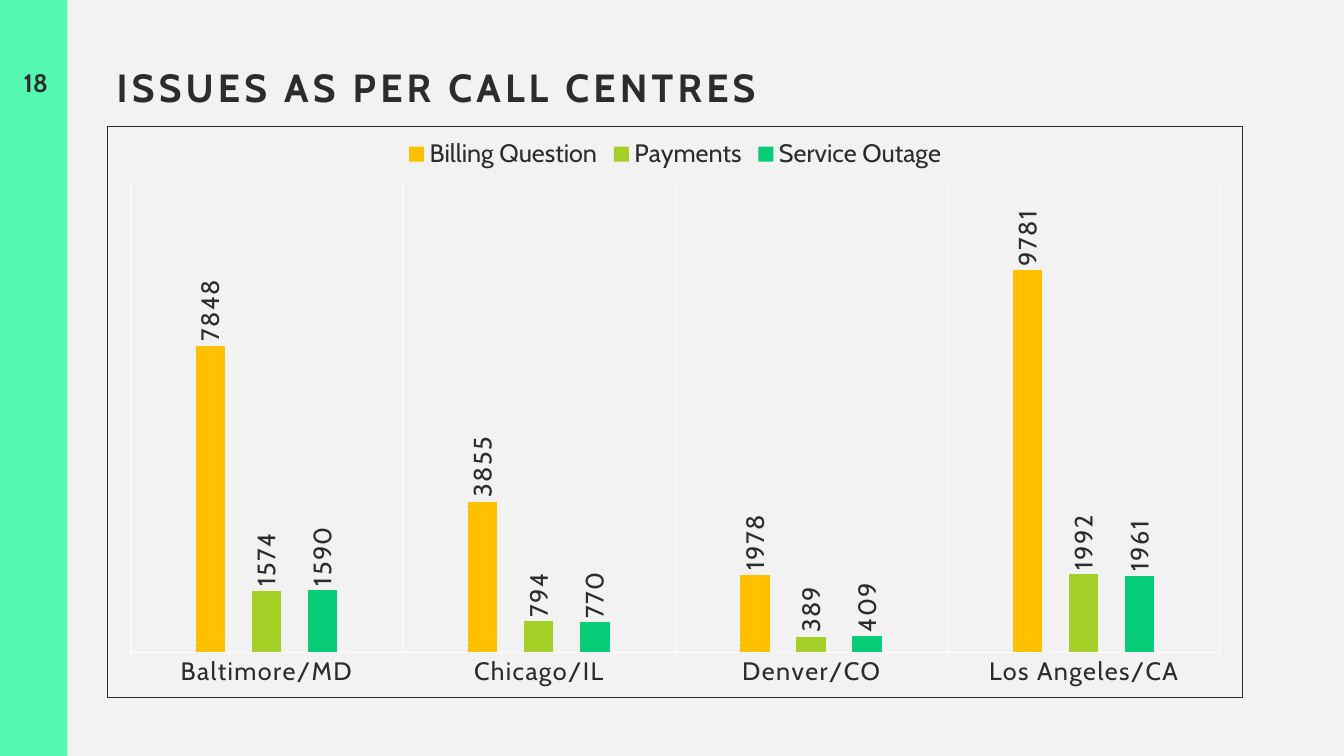
from lxml import etree
from pptx import Presentation, util as u
from pptx.chart.data import CategoryChartData
from pptx.dml.color import RGBColor
from pptx.enum import chart as ch, shapes, text
from pptx.oxml.ns import qn

CALL_CENTRES = ["Baltimore/MD", "Chicago/IL", "Denver/CO", "Los Angeles/CA"]
ISSUES = [
    ("Billing Question", "FFC000", [7848, 3855, 1978, 9781]),
    ("Payments", "A5D028", [1574, 794, 389, 1992]),
    ("Service Outage", "08CC78", [1590, 770, 409, 1961]),
]


def color(value):
    return RGBColor.from_string(value)


def inches(*lengths):
    return [u.Inches(length) for length in lengths]


def space_letters(element, points):
    """Set letter spacing on every run property block under element."""
    for tag in ("a:rPr", "a:defRPr"):
        for props in element.iter(qn(tag)):
            props.set("spc", str(int(points * 100)))


def frame_chart(chart, line_color, width):
    """Give the chart area no fill and a thin border."""
    area = etree.Element(qn("c:spPr"))
    etree.SubElement(area, qn("a:noFill"))
    line = etree.SubElement(area, qn("a:ln"), w=str(u.Pt(width)))
    fill = etree.SubElement(line, qn("a:solidFill"))
    etree.SubElement(fill, qn("a:srgbClr"), val=line_color)
    chart._chartSpace.find(qn("c:chart")).addnext(area)


def place_plot(chart, **box):
    """Fix the inner plot area as fractions x, y, w, h of the chart."""
    plot_area = chart._chartSpace.find(".//" + qn("c:plotArea"))
    for automatic in plot_area.findall(qn("c:layout")):
        plot_area.remove(automatic)
    layout = etree.Element(qn("c:layout"))
    manual = etree.SubElement(layout, qn("c:manualLayout"))
    settings = {"layoutTarget": "inner", "xMode": "edge", "yMode": "edge", **box}
    for name, value in settings.items():
        etree.SubElement(manual, qn("c:" + name), val=str(value))
    plot_area.insert(0, layout)


class Deck:
    font = "Cabin"
    ink = "2C2C2C"
    paper = "F2F2F2"
    accent = "53F8B1"
    grid = "FFFFFF"

    def __init__(self, width, height):
        self.prs = Presentation()
        self.prs.slide_width, self.prs.slide_height = inches(width, height)

    def add_slide(self):
        self.slide = self.prs.slides.add_slide(self.prs.slide_layouts[6])
        background = self.slide.background.fill
        background.solid()
        background.fore_color.rgb = color(self.paper)

    def style_font(self, font, size=18, bold=False):
        font.name, font.size, font.bold = self.font, u.Pt(size), bold
        font.color.rgb = color(self.ink)

    def band(self, *box):
        band = self.slide.shapes.add_shape(shapes.MSO_SHAPE.RECTANGLE, *inches(*box))
        band.shadow.inherit = False
        band.fill.solid()
        band.fill.fore_color.rgb = color(self.accent)
        band.line.fill.background()

    def text(self, words, box, size=18, bold=True, align=text.PP_ALIGN.LEFT,
             line_spacing=1.0, letter_spacing=0):
        frame = self.slide.shapes.add_textbox(*inches(*box)).text_frame
        frame.word_wrap = True
        paragraph = frame.paragraphs[0]
        paragraph.alignment = align
        paragraph.line_spacing = line_spacing
        run = paragraph.add_run()
        run.text = words
        self.style_font(run.font, size, bold)
        space_letters(run._r, letter_spacing)

    def column_chart(self, categories, series, box, maximum):
        data = CategoryChartData()
        data.categories = categories
        for name, _, values in series:
            data.add_series(name, values)
        chart = self.slide.shapes.add_chart(
            ch.XL_CHART_TYPE.COLUMN_CLUSTERED, *inches(*box), data).chart
        self.style_font(chart.font)
        chart.has_title = False
        frame_chart(chart, self.ink, 0.75)
        place_plot(chart, x=0.02, y=0.1, w=0.96, h=0.82)

        chart.has_legend = True
        chart.legend.position = ch.XL_LEGEND_POSITION.TOP
        chart.legend.include_in_layout = False
        self.style_font(chart.legend.font)

        plot = chart.plots[0]
        plot.gap_width, plot.overlap, plot.vary_by_categories = 444, -90, False
        for bars, (_, fill, _) in zip(plot.series, series):
            bars.format.fill.solid()
            bars.format.fill.fore_color.rgb = color(fill)
            self.value_labels(bars.data_labels)
        self.axes(chart, maximum)

    def value_labels(self, labels):
        """Show values above the bars, reading upwards."""
        labels.show_value = True
        labels.position = ch.XL_LABEL_POSITION.OUTSIDE_END
        self.style_font(labels.font)
        space_letters(labels._element, 1)
        body = labels._element.find(".//" + qn("a:bodyPr"))
        body.set("rot", "-5400000")
        body.set("vert", "horz")

    def axes(self, chart, maximum):
        values = chart.value_axis
        values.minimum_scale, values.maximum_scale = 0, maximum
        values.has_major_gridlines = False
        values.visible = False

        centres = chart.category_axis
        centres.major_tick_mark = ch.XL_TICK_MARK.NONE
        centres.has_major_gridlines = True
        self.style_font(centres.tick_labels.font)
        space_letters(centres._element, 1)
        for line in (centres.format.line, centres.major_gridlines.format.line):
            line.color.rgb = color(self.grid)
            line.width = u.Pt(0.75)


def main():
    deck = Deck(13.33, 7.5)
    deck.add_slide()
    deck.band(0, 0, 0.67, 7.5)
    deck.text("ISSUES AS PER CALL CENTRES", (1.06, 0.67, 11.27, 0.55), size=28,
              line_spacing=0.8, letter_spacing=3)
    deck.text("18", (0.02, 0.62, 0.67, 0.4), align=text.PP_ALIGN.CENTER)
    deck.column_chart(CALL_CENTRES, ISSUES, (1.06, 1.25, 11.27, 5.68), maximum=12000)
    deck.prs.save("out.pptx")


if __name__ == "__main__":
    main()
